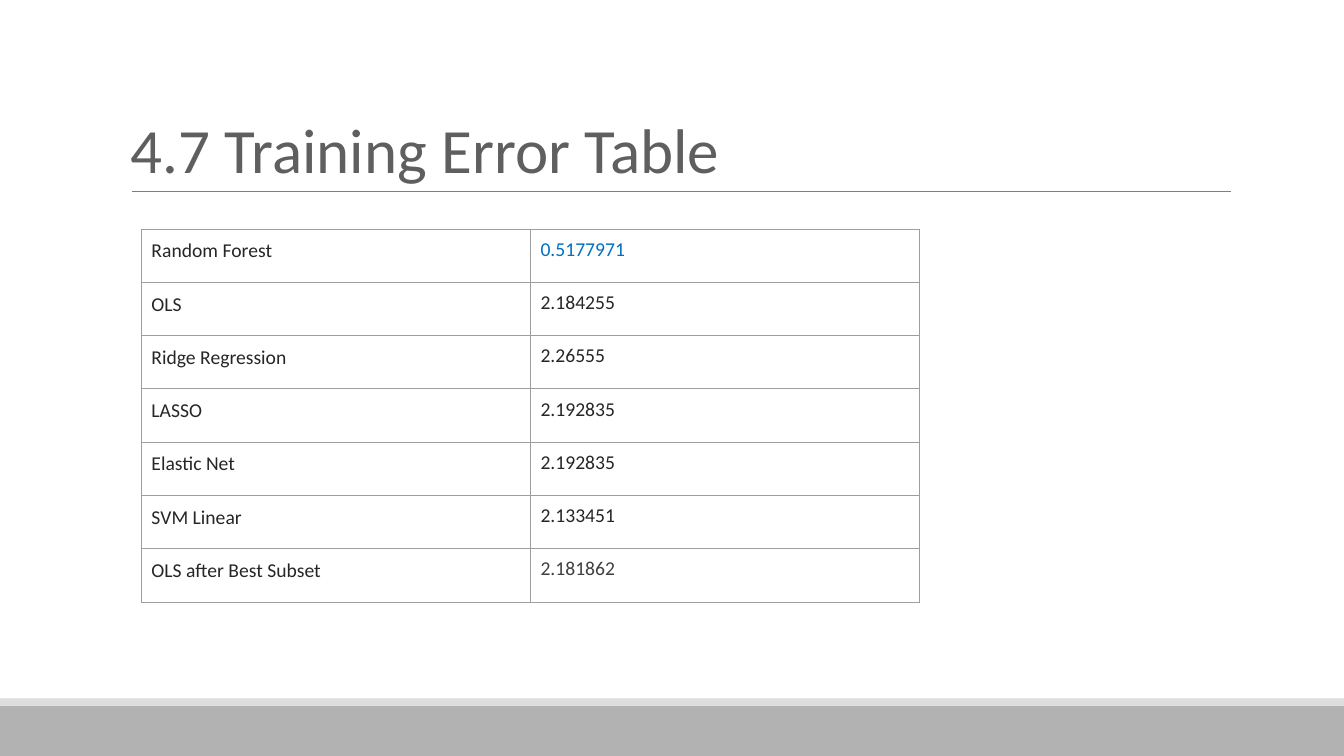
from dataclasses import dataclass

from pptx import Presentation
from pptx.dml.color import RGBColor as RGB
from pptx.enum.shapes import MSO_CONNECTOR as Connector, MSO_SHAPE as Shape
from pptx.enum.text import MSO_ANCHOR as Anchor
from pptx.oxml.ns import qn
from pptx.util import Pt
from lxml.etree import SubElement


@dataclass(frozen=True)
class Theme:
    font: str = "Calibri"
    title_size: float = 45
    cell_size: float = 14
    title: str = "5F5F5F"
    text: str = "262626"
    best: str = "0070C0"
    muted: str = "3F3F3F"
    band: str = "B2B2B2"
    band_edge: str = "DDDDDD"
    rule: str = "7F7F7F"
    border: str = "9E9E9E"
    line_width: float = 0.75


def write(tf, text, *, font, size, color, spacing=None, before=None, after=None):
    p = tf.paragraphs[0]
    if spacing is not None:
        p.line_spacing = spacing
    if before is not None:
        p.space_before = Pt(before)
    if after is not None:
        p.space_after = Pt(after)
    r = p.add_run()
    r.text = text
    r.font.name = font
    r.font.size = Pt(size)
    r.font.color.rgb = RGB.from_string(color)


class SlideBuilder:
    """Draws styled elements on one slide, with lengths in points."""

    def __init__(self, s, theme):
        self.s = s
        self.theme = theme

    def bar(self, x, y, w, h, color):
        sp = self.s.shapes.add_shape(Shape.RECTANGLE, Pt(x), Pt(y), Pt(w), Pt(h))
        sp.shadow.inherit = False
        sp.fill.solid()
        sp.fill.fore_color.rgb = RGB.from_string(color)
        sp.line.fill.background()

    def rule(self, x1, x2, y):
        cx = self.s.shapes.add_connector(Connector.STRAIGHT, Pt(x1), Pt(y), Pt(x2), Pt(y))
        cx.line.color.rgb = RGB.from_string(self.theme.rule)
        cx.line.width = Pt(self.theme.line_width)
        SubElement(cx._element.spPr, qn("a:effectLst"))

    def title(self, x, y, w, h, text):
        tf = self.s.shapes.add_textbox(Pt(x), Pt(y), Pt(w), Pt(h)).text_frame
        tf.word_wrap = True
        tf.vertical_anchor = Anchor.BOTTOM
        write(tf, text, font=self.theme.font, size=self.theme.title_size,
              color=self.theme.title, spacing=0.85)

    def border(self, cell):
        tc_pr = cell._tc.get_or_add_tcPr()
        for side in ("lnL", "lnR", "lnT", "lnB"):
            ln = SubElement(tc_pr, qn(f"a:{side}"), w=str(Pt(self.theme.line_width)))
            fill = SubElement(ln, qn("a:solidFill"))
            SubElement(fill, qn("a:srgbClr"), val=self.theme.border)

    def cell(self, cell, text, color, **spacing):
        cell.margin_left = cell.margin_right = Pt(7.2)
        cell.margin_top = cell.margin_bottom = Pt(7.2)
        self.border(cell)
        cell.fill.background()
        write(cell.text_frame, text, font=self.theme.font,
              size=self.theme.cell_size, color=color, **spacing)

    def error_table(self, x, y, col_w, row_h, rows):
        frame = self.s.shapes.add_table(
            len(rows), 2, Pt(x), Pt(y), Pt(2 * col_w), Pt(len(rows) * row_h))
        table = frame.table
        table.first_row = table.horz_banding = False
        for col in table.columns:
            col.width = Pt(col_w)
        for i, (model, error, color) in enumerate(rows):
            table.rows[i].height = Pt(row_h)
            self.cell(table.cell(i, 0), model, self.theme.text)
            self.cell(table.cell(i, 1), error, color, spacing=0.9, before=12, after=2)


def main():
    theme = Theme()
    prs = Presentation()
    prs.slide_width, prs.slide_height = Pt(960), Pt(540)
    s = prs.slides.add_slide(prs.slide_layouts[6])
    slide = SlideBuilder(s, theme)

    slide.bar(0, 504, 960, 36, theme.band)
    slide.bar(0, 498.75, 960, 5.25, theme.band_edge)
    slide.rule(94.3, 879, 136.8)
    slide.title(86.4, 22.6, 792, 114.2, "4.7 Training Error Table")
    slide.error_table(101, 163.7, 277.9, 38.05, [
        ("Random Forest", "0.5177971", theme.best),
        ("OLS", "2.184255", theme.text),
        ("Ridge Regression", "2.26555", theme.text),
        ("LASSO", "2.192835", theme.text),
        ("Elastic Net", "2.192835", theme.text),
        ("SVM Linear", "2.133451", theme.text),
        ("OLS after Best Subset", "2.181862", theme.muted),
    ])
    prs.save("out.pptx")


if __name__ == "__main__":
    main()
